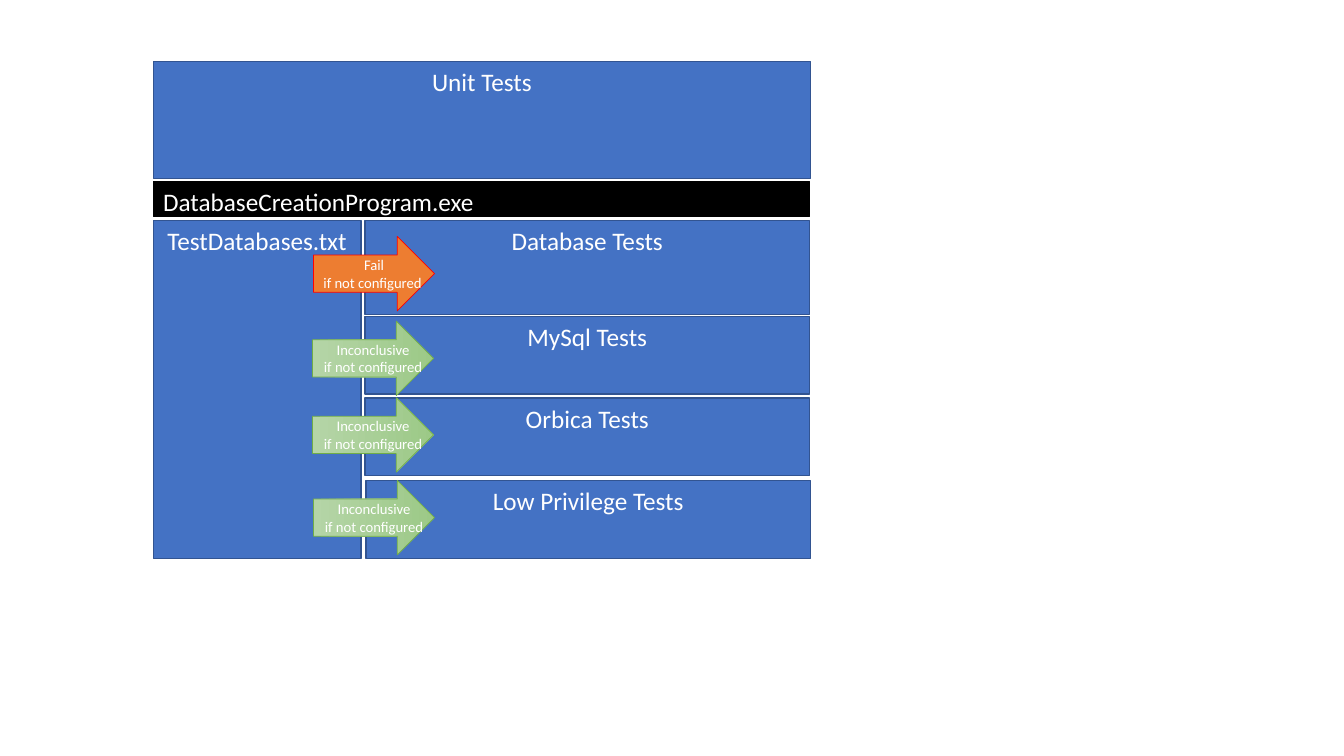
from typing import NamedTuple

from pptx import Presentation
from pptx.dml.color import RGBColor
from pptx.enum.shapes import MSO_SHAPE as Shape
from pptx.enum.text import MSO_ANCHOR as Anchor, MSO_AUTO_SIZE as Fit, PP_ALIGN as Align
from pptx.util import Inches, Pt

BLUE, EDGE, BLACK, WHITE = "4472C4", "325491", "000000", "FFFFFF"
ORANGE, RED, GREEN = "ED7D31", "FF0000", "70AD47"
PALE, DEEP = "B5D5A7", "9CC987"


class Box(NamedTuple):
    text: str
    left: float
    top: float
    width: float
    height: float
    fill: str = BLUE
    edge: str = EDGE
    align: Align = Align.CENTER


class Arrow(NamedTuple):
    word: str
    left: float
    top: float
    fills: tuple[str, ...] = (PALE, DEEP)
    edge: str = GREEN
    align: Align = Align.CENTER


WIDE = 4.41
BOXES = [
    Box("Unit Tests", 1.52, 0.61, 6.52, 1.16),
    Box("Database Tests", 3.62, 2.19, WIDE, 0.93),
    Box("MySql Tests", 3.62, 3.14, WIDE, 0.77),
    Box("Orbica Tests", 3.62, 3.95, WIDE, 0.77),
    Box("TestDatabases.txt", 1.52, 2.19, 2.06, 3.35),
    Box("Low Privilege Tests", 3.63, 4.77, WIDE, 0.77),
    Box("DatabaseCreationProgram.exe", 1.52, 1.8, 6.51, 0.35, BLACK, BLACK, Align.LEFT),
]
ARROWS = [
    Arrow("Inconclusive", 3.1, 3.33),
    Arrow("Inconclusive", 3.1, 4.09),
    Arrow("Fail", 3.11, 2.49, (ORANGE,), RED, Align.LEFT),
    Arrow("Inconclusive", 3.11, 4.91),
]
# An arrow is drawn pointing down, then turned to point right.
SPAN, LONG, LABEL = 0.74, 1.2, 0.45


def color(value: str) -> RGBColor:
    return RGBColor.from_string(value)


def paint(shape, fills: tuple[str, ...], edge: str, weight: float) -> None:
    """Fill a shape with one colour or a downward blend, and outline it."""
    shape.shadow.inherit = False
    if len(fills) == 1:
        shape.fill.solid()
        shape.fill.fore_color.rgb = color(fills[0])
    else:
        shape.fill.gradient()
        shape.fill.gradient_angle = 270
        for stop, value in zip(shape.fill.gradient_stops, fills):
            stop.color.rgb = color(value)
    shape.line.color.rgb = color(edge)
    shape.line.width = Pt(weight)


def write(par, text: str, size: float, align: Align) -> None:
    par.text = text
    par.alignment = align
    par.font.size = Pt(size)
    par.font.name = "Calibri"
    par.font.color.rgb = color(WHITE)


def add_box(shapes, box: Box) -> None:
    rect = shapes.add_shape(Shape.RECTANGLE, Inches(box.left), Inches(box.top),
                            Inches(box.width), Inches(box.height))
    paint(rect, (box.fill,), box.edge, 1)
    rect.text_frame.vertical_anchor = Anchor.TOP
    write(rect.text_frame.paragraphs[0], box.text, 18, box.align)


def add_arrow(shapes, arrow: Arrow) -> None:
    group = shapes.add_group_shape().shapes
    left = arrow.left + (LONG - SPAN) / 2
    top = arrow.top + (LABEL - LONG) / 2
    body = group.add_shape(Shape.DOWN_ARROW, Inches(left), Inches(top),
                           Inches(SPAN), Inches(LONG))
    body.rotation = 270
    paint(body, arrow.fills, arrow.edge, 0.5)
    label = group.add_textbox(Inches(arrow.left), Inches(arrow.top),
                              Inches(LONG), Inches(LABEL))
    frame = label.text_frame
    frame.word_wrap = False
    frame.auto_size = Fit.SHAPE_TO_FIT_TEXT
    write(frame.paragraphs[0], arrow.word, 10.5, Align.CENTER)
    write(frame.add_paragraph(), "if not configured", 10.5, arrow.align)


def main() -> None:
    deck = Presentation()
    deck.slide_width, deck.slide_height = Inches(13.33), Inches(7.5)
    shapes = deck.slides.add_slide(deck.slide_layouts[6]).shapes
    for box in BOXES:
        add_box(shapes, box)
    for arrow in ARROWS:
        add_arrow(shapes, arrow)
    deck.save("out.pptx")


if __name__ == "__main__":
    main()
